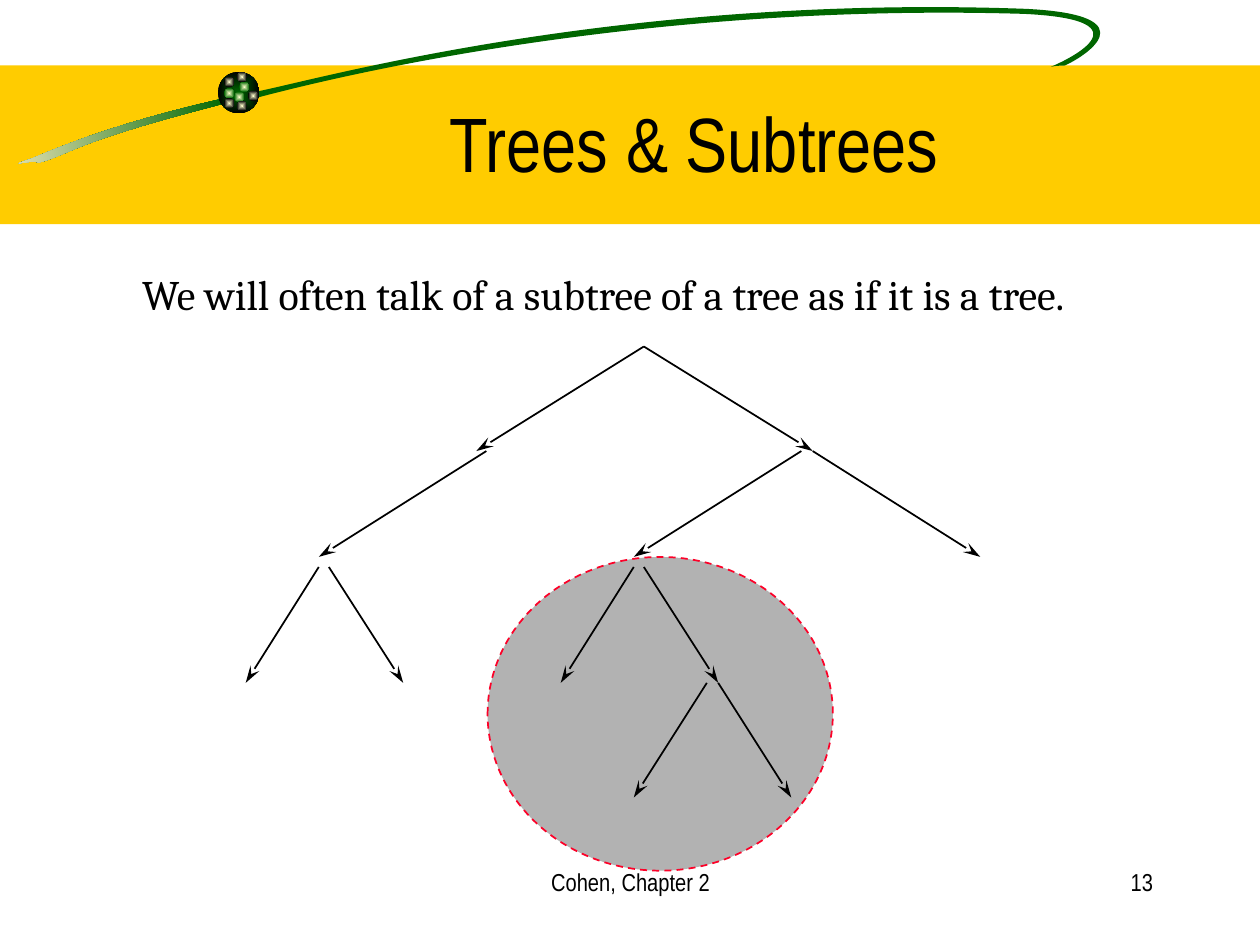
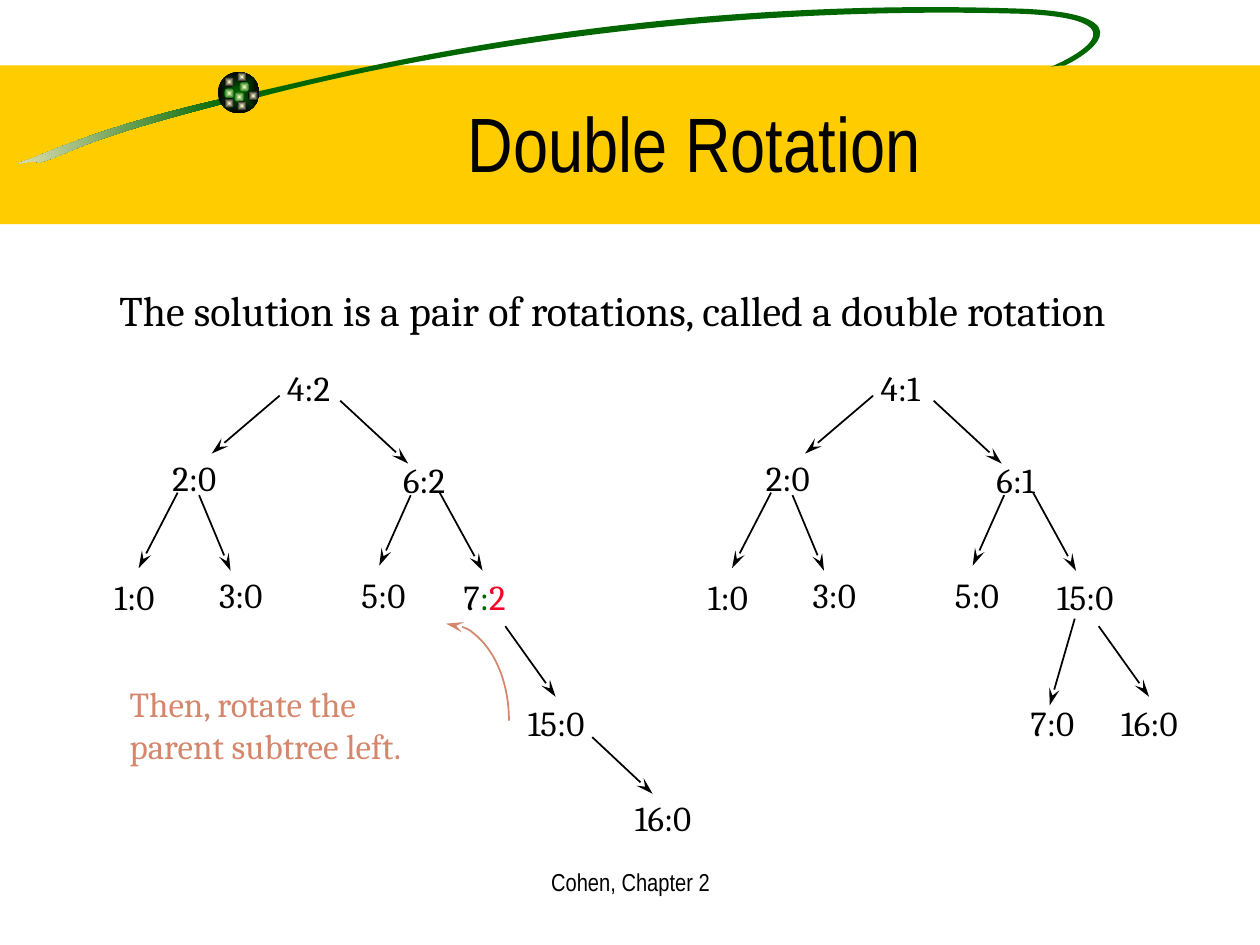
from math import cos, radians, sin

from lxml import etree
from pptx import Presentation
from pptx.dml.color import RGBColor
from pptx.enum.dml import MSO_LINE
from pptx.enum.shapes import MSO_CONNECTOR, MSO_SHAPE
from pptx.enum.text import MSO_ANCHOR, MSO_AUTO_SIZE, PP_ALIGN
from pptx.oxml.ns import qn
from pptx.util import Inches, Pt

RECTANGLE, OVAL, ARC = MSO_SHAPE.RECTANGLE, MSO_SHAPE.OVAL, MSO_SHAPE.ARC
STRAIGHT = MSO_CONNECTOR.STRAIGHT
DASH = MSO_LINE.DASH
MIDDLE = MSO_ANCHOR.MIDDLE
GROW = MSO_AUTO_SIZE.SHAPE_TO_FIT_TEXT
LEFT, CENTER, RIGHT = PP_ALIGN.LEFT, PP_ALIGN.CENTER, PP_ALIGN.RIGHT

BLACK, WHITE, RED, GREEN = "000000", "FFFFFF", "FC0128", "006600"
YELLOW, GRAY, CLAY = "FFCC00", "B2B2B2", "D4876C"
CREAM, PALE = "F5EBC1", "FFFFCC"
HEADING_FONT, BODY_FONT = "Arial Narrow", "Cambria"

SWOOSH_TILT = -8.5
TAIL_FRAME = (-0.03, 0.91, 1.84, 0.3)
TAIL_POINTS = [
    (1.78, 0.78),
    (0.91, 0.98), (0.49, 1.16), (0.25, 1.26),
    (0.01, 1.34), (0.26, 1.26), (0.31, 1.29),
    (0.57, 1.22), (0.57, 1.13), (1.79, 0.82),
    (1.79, 0.82), (1.78, 0.78), (1.78, 0.78),
]
LOOP_FRAME = (2.01, -0.15, 7.16, 1.09)
LOOP_POINTS = [
    (2.02, 0.73),
    (2.46, 0.65), (4.86, -0.05), (8.14, 0.07),
    (9.17, 0.12), (8.57, 0.47), (8.45, 0.52),
    (8.45, 0.52), (8.38, 0.52), (8.34, 0.53),
    (8.44, 0.49), (9.16, 0.16), (8.13, 0.11),
    (5.48, 0.03), (3.2, 0.47), (2.06, 0.77),
    (2.06, 0.77), (2.02, 0.73), (2.02, 0.73),
]
BALL_LIGHTS = [
    (1.9, 0.65, GREEN), (1.78, 0.61, BLACK), (1.78, 0.7, GREEN), (1.86, 0.73, GREEN),
    (1.97, 0.72, BLACK), (1.88, 0.8, BLACK), (1.78, 0.78, BLACK), (1.88, 0.57, BLACK),
]

SUBTREE_ARROWS = [
    (5.11, 2.75, 3.78, 3.58), (5.11, 2.75, 6.45, 3.58),
    (3.86, 3.58, 2.53, 4.42), (6.45, 3.58, 7.78, 4.42), (6.36, 3.58, 5.03, 4.42),
    (2.53, 4.5, 1.95, 5.42), (2.61, 4.5, 3.2, 5.42),
    (5.03, 4.5, 4.45, 5.42), (5.11, 4.5, 5.7, 5.42),
    (5.61, 5.42, 5.03, 6.33), (5.7, 5.42, 6.28, 6.33),
]

NODE_PLACES = [
    (2.18, 2.86), (1.27, 3.57), (3.1, 3.59), (0.81, 4.52),
    (1.64, 4.5), (2.77, 4.5), (3.58, 4.52), (4.09, 5.52),
]
ROTATION_ARROWS = [
    (2.22, 3.14, 1.68, 3.6), (2.7, 3.18, 3.24, 3.68),
    (1.41, 3.91, 1.1, 4.51), (1.58, 3.93, 1.83, 4.53),
    (3.26, 3.93, 3.01, 4.49), (3.49, 3.91, 3.83, 4.53), (4.01, 4.97, 4.41, 5.53),
]
BEFORE_NODES = ["4:2", "2:0", "6:2", "1:0", "3:0", "5:0", "7:2", "15:0"]
AFTER_NODES = ["4:1", "2:0", "6:1", "1:0", "3:0", "5:0", "15:0", "16:0"]
AFTER_OFFSET = 4.71


def color(value):
    return RGBColor.from_string(value)


def untilt(points, frame, angle):
    left, top, width, height = frame
    turn_cos, turn_sin = cos(radians(-angle)), sin(radians(-angle))
    turned = []
    for x, y in points:
        dx, dy = x - left - width / 2, y - top - height / 2
        turned.append((Inches(dx * turn_cos - dy * turn_sin + width / 2),
                       Inches(dx * turn_sin + dy * turn_cos + height / 2)))
    return turned


class Deck:
    """Holds the shared style and draws on the current slide."""

    def __init__(self):
        self.presentation = Presentation()
        self.presentation.slide_width = Inches(10)
        self.presentation.slide_height = Inches(7.5)
        self.layout = self.presentation.slide_layouts[5]
        self.slide = None

    def add_slide(self, title):
        first = self.slide is None
        self.slide = self.presentation.slides.add_slide(self.layout)
        if first:
            self.decorate_layout()
        shape = self.slide.shapes.title
        shape.left, shape.top = Inches(1.26), Inches(0.5)
        shape.width, shape.height = Inches(8.5), Inches(1.25)
        shape.text_frame.text = title
        shape.text_frame.vertical_anchor = MIDDLE
        self.format(shape.text_frame.paragraphs[0], 44, HEADING_FONT, BLACK, CENTER)
        self.footer("Cohen, Chapter 2", 3.42, 3.17, CENTER)

    def decorate_layout(self):
        tree = self.layout.shapes.element
        for placeholder in list(self.layout.placeholders)[1:]:
            tree.remove(placeholder.element)
        band = self.shape(RECTANGLE, 0, 0.52, 10, 1.26, YELLOW)
        tail = self.swoosh(TAIL_FRAME, TAIL_POINTS)
        self.gradient(tail, GREEN, CREAM, 180)
        loop = self.swoosh(LOOP_FRAME, LOOP_POINTS)
        ball = self.ball(1.73, 0.57, 0.33, GREEN, BLACK)
        lights = [self.ball(x, y, 0.08, PALE, edge) for x, y, edge in BALL_LIGHTS]
        veil = self.shape(RECTANGLE, 0.74, 2.06, 1.22, 5.44, WHITE)
        veil_color = veil.element.spPr.find(".//" + qn("a:srgbClr"))
        etree.SubElement(veil_color, qn("a:alpha"), {"val": "50000"})
        for shape in [band, tail, loop, ball, *lights, veil]:
            tree.append(shape.element)

    def format(self, paragraph, size, font, text_color, align=LEFT):
        paragraph.alignment = align
        for run in paragraph.runs:
            run.font.size = Pt(size)
            run.font.name = font
            run.font.color.rgb = color(text_color)

    def shape(self, kind, left, top, width, height, fill=None, line=None):
        shape = self.slide.shapes.add_shape(
            kind, Inches(left), Inches(top), Inches(width), Inches(height))
        return self.paint(shape, fill, line)

    def swoosh(self, frame, points):
        local = untilt(points, frame, SWOOSH_TILT)
        builder = self.slide.shapes.build_freeform(*local[0])
        builder.add_line_segments(local[3::3], close=True)
        shape = builder.convert_to_shape()
        shape.left, shape.top, shape.width, shape.height = map(Inches, frame)
        shape.rotation = SWOOSH_TILT
        outline = shape.element.spPr.find(".//" + qn("a:path"))
        outline.set("w", str(shape.width))
        outline.set("h", str(shape.height))
        start = outline.find(qn("a:moveTo")).find(qn("a:pt"))
        start.set("x", str(local[0][0]))
        start.set("y", str(local[0][1]))
        for index, segment in enumerate(outline.findall(qn("a:lnTo"))):
            curve = etree.Element(qn("a:cubicBezTo"))
            for x, y in local[3 * index + 1:3 * index + 4]:
                etree.SubElement(curve, qn("a:pt"), {"x": str(x), "y": str(y)})
            outline.replace(segment, curve)
        return self.paint(shape, GREEN)

    def paint(self, shape, fill=None, line=None):
        shape.shadow.inherit = False
        if fill:
            shape.fill.solid()
            shape.fill.fore_color.rgb = color(fill)
        else:
            shape.fill.background()
        if line:
            shape.line.color.rgb = color(line)
            shape.line.width = Pt(1)
        else:
            shape.line.fill.background()
        return shape

    def gradient(self, shape, start, end, angle=0):
        shape.fill.gradient()
        shape.fill.gradient_angle = angle
        for stop, value in zip(shape.fill.gradient_stops, (start, end)):
            stop.color.rgb = color(value)

    def ball(self, left, top, size, center, edge):
        shape = self.shape(OVAL, left, top, size, size, center)
        self.gradient(shape, center, edge)
        linear = shape.element.spPr.find(".//" + qn("a:lin"))
        radial = etree.Element(qn("a:path"), {"path": "rect"})
        etree.SubElement(radial, qn("a:fillToRect"), dict.fromkeys("ltrb", "50000"))
        linear.getparent().replace(linear, radial)
        return shape

    def arrowhead(self, shape, end):
        line = shape.element.spPr.find(qn("a:ln"))
        etree.SubElement(line, qn(end), {"type": "stealth", "w": "med", "len": "lg"})

    def arrow(self, x1, y1, x2, y2, offset=0):
        connector = self.slide.shapes.add_connector(
            STRAIGHT, Inches(x1 + offset), Inches(y1), Inches(x2 + offset), Inches(y2))
        connector.line.color.rgb = color(BLACK)
        connector.line.width = Pt(1)
        self.arrowhead(connector, "a:tailEnd")
        etree.SubElement(connector.element.spPr, qn("a:effectLst"))

    def text(self, words, left, top, width, height, size,
             font=BODY_FONT, text_color=BLACK, align=LEFT, before=0, wrap=True):
        shape = self.slide.shapes.add_textbox(
            Inches(left), Inches(top), Inches(width), Inches(height))
        frame = shape.text_frame
        frame.word_wrap = wrap
        frame.auto_size = GROW
        frame.text = words
        paragraph = frame.paragraphs[0]
        paragraph.space_before = Pt(before)
        self.format(paragraph, size, font, text_color, align)
        return paragraph

    def footer(self, words, left, width, align):
        self.text(words, left, 6.83, width, 0.5, 14, HEADING_FONT, align=align)

    def node(self, words, left, top):
        width = 0.59 if len(words) == 3 else 0.75
        return self.text(words, left, top, width, 0.43, 20, wrap=False)

    def rotation_tree(self, labels, offset=0):
        nodes = [self.node(label, left + offset, top)
                 for label, (left, top) in zip(labels, NODE_PLACES)]
        for ends in ROTATION_ARROWS:
            self.arrow(*ends, offset)
        return nodes


def build_subtrees(deck):
    deck.add_slide("Trees & Subtrees")
    subtree = deck.shape(OVAL, 3.87, 4.42, 2.74, 2.49, GRAY, RED)
    subtree.line.dash_style = DASH
    deck.slide.shapes.element.insert(2, subtree.element)
    deck.text("We will often talk of a subtree of a tree as if it is a tree.",
              1.03, 2.08, 8.92, 0.5, 24, before=15)
    for ends in SUBTREE_ARROWS:
        deck.arrow(*ends)
    deck.footer("13", 7.17, 2.08, RIGHT)


def build_double_rotation(deck):
    deck.add_slide("Double Rotation")
    deck.text("The solution is a pair of rotations, called a double rotation",
              0.85, 2.21, 9.37, 0.9, 24, before=15)
    nodes = deck.rotation_tree(BEFORE_NODES)
    unbalanced = nodes[6]
    unbalanced.text = "7"
    for part in (":", "2"):
        unbalanced.add_run().text = part
    deck.format(unbalanced, 20, BODY_FONT, BLACK)
    for run, value in zip(unbalanced.runs, (BLACK, GREEN, RED)):
        run.font.color.rgb = color(value)
    deck.node("16:0", 4.94, 6.27)
    deck.arrow(4.7, 5.85, 5.18, 6.3)
    deck.rotation_tree(AFTER_NODES, AFTER_OFFSET)
    deck.node("7:0", 8.08, 5.52)
    deck.arrow(8.53, 4.91, 8.33, 5.6)
    turn = deck.shape(ARC, 3.04, 4.95, 1, 1.54, line=CLAY)
    deck.arrowhead(turn, "a:headEnd")
    deck.text("Then, rotate the parent subtree left.",
              0.93, 5.37, 2.65, 1.1, 20, text_color=CLAY, before=12.5)


def main():
    deck = Deck()
    build_subtrees(deck)
    build_double_rotation(deck)
    deck.presentation.save("out.pptx")


if __name__ == "__main__":
    main()
